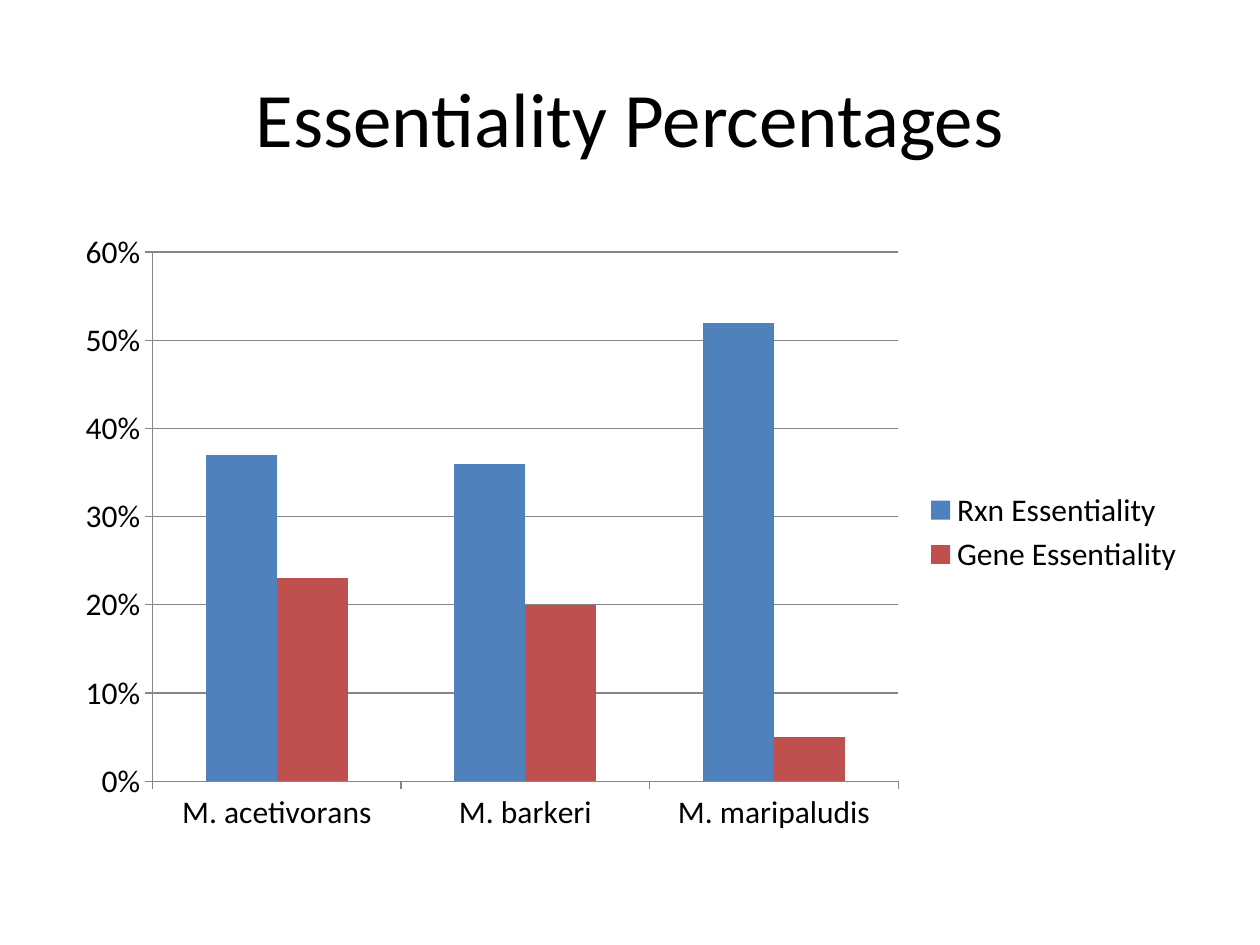
"""Build a slide comparing reaction and gene essentiality across three species."""
from pptx import Presentation
from pptx import util as u
from pptx.chart import data as chart_data
from pptx.dml import color
from pptx.enum import chart as ch
from pptx.enum import text

TITLE = "Essentiality Percentages"
SPECIES = ["M. acetivorans", "M. barkeri", "M. maripaludis"]
SERIES = [
    ("Rxn Essentiality", (0.37, 0.36, 0.52), "4F81BD"),
    ("Gene Essentiality", (0.23, 0.20, 0.05), "C0504D"),
]
TITLE_BOX = (0.5, 0.3, 9, 1.25)
CHART_BOX = (0.5, 1.75, 9, 4.95)
INK, AXIS_GRAY = "000000", "868686"


def rgb(value):
    return color.RGBColor.from_string(value)


def set_all(target, values):
    for name, value in values.items():
        setattr(target, name, value)


def style_font(font, size):
    set_all(font, {"name": "Calibri", "size": u.Pt(size), "bold": False})
    font.color.rgb = rgb(INK)


def style_line(line):
    line.color.rgb = rgb(AXIS_GRAY)
    line.width = u.Pt(0.75)


def add_title(slide):
    shape = slide.shapes.title
    left, top, width, height = map(u.Inches, TITLE_BOX)
    set_all(shape, {"left": left, "top": top, "width": width, "height": height})
    shape.text_frame.text = TITLE
    shape.text_frame.vertical_anchor = text.MSO_ANCHOR.MIDDLE
    paragraph = shape.text_frame.paragraphs[0]
    paragraph.alignment = text.PP_ALIGN.CENTER
    style_font(paragraph.runs[0].font, 44)


def add_essentiality_chart(slide):
    data = chart_data.CategoryChartData(number_format="0%")
    data.categories = SPECIES
    for name, values, _ in SERIES:
        data.add_series(name, values)
    chart = slide.shapes.add_chart(
        ch.XL_CHART_TYPE.COLUMN_CLUSTERED, *map(u.Inches, CHART_BOX), data
    ).chart
    set_all(chart, {"has_title": False, "has_legend": True})
    style_font(chart.font, 18)
    set_all(chart.legend, {
        "position": ch.XL_LEGEND_POSITION.RIGHT, "include_in_layout": False})

    plot = chart.plots[0]
    set_all(plot, {"gap_width": 150, "overlap": 0, "vary_by_categories": False})
    for series, (_, _, fill) in zip(plot.series, SERIES):
        series.format.fill.solid()
        series.format.fill.fore_color.rgb = rgb(fill)

    for axis in (chart.category_axis, chart.value_axis):
        axis.major_tick_mark = ch.XL_TICK_MARK.OUTSIDE
        axis.minor_tick_mark = ch.XL_TICK_MARK.NONE
        style_line(axis.format.line)
    set_all(chart.value_axis, {
        "minimum_scale": 0, "maximum_scale": 0.6, "major_unit": 0.1,
        "has_major_gridlines": True})
    set_all(chart.value_axis.tick_labels, {
        "number_format": "0%", "number_format_is_linked": False})
    style_line(chart.value_axis.major_gridlines.format.line)


def main():
    presentation = Presentation()
    set_all(presentation, {
        "slide_width": u.Inches(10), "slide_height": u.Inches(7.5)})
    slide = presentation.slides.add_slide(presentation.slide_layouts[5])
    add_title(slide)
    add_essentiality_chart(slide)
    presentation.save("out.pptx")


if __name__ == "__main__":
    main()
